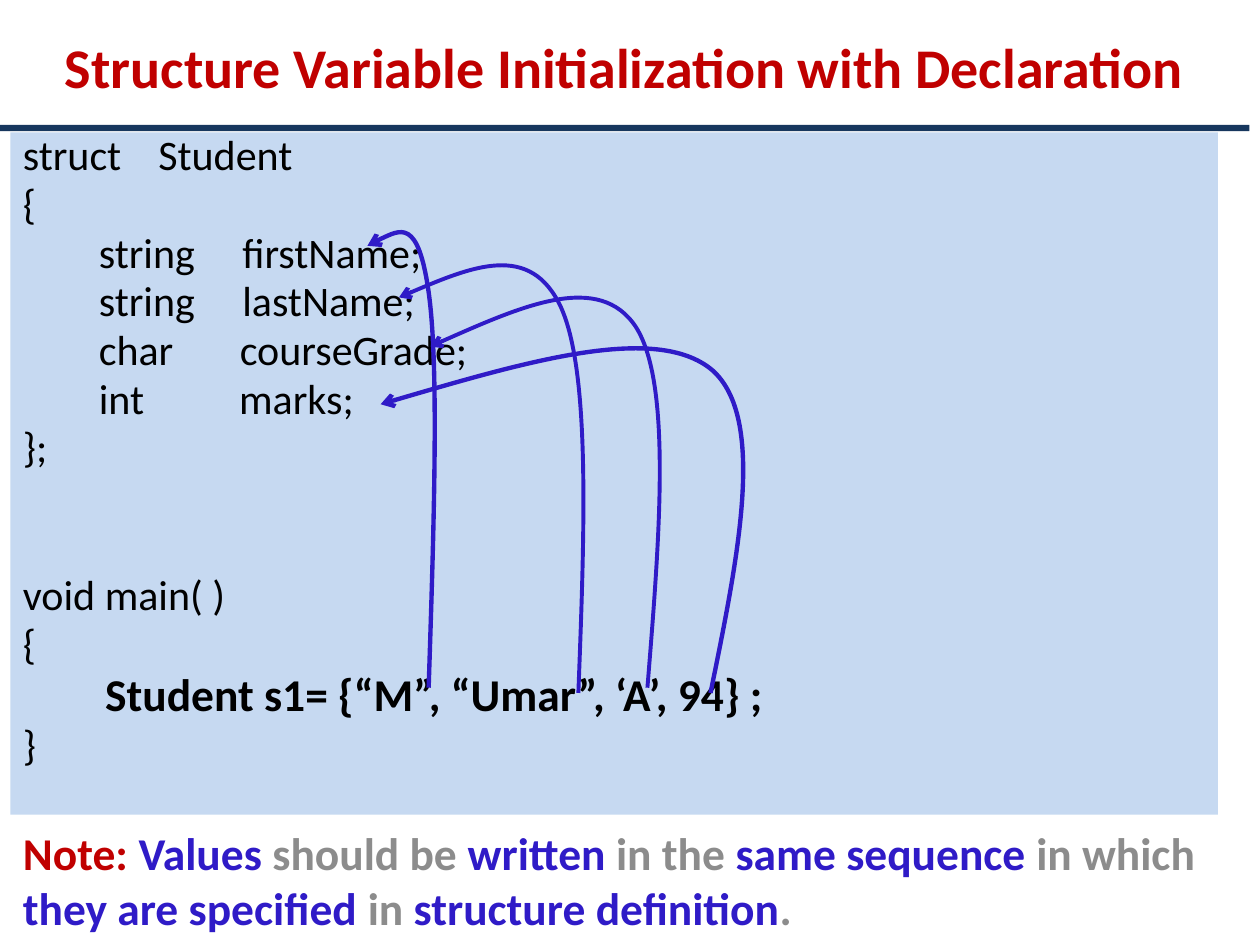
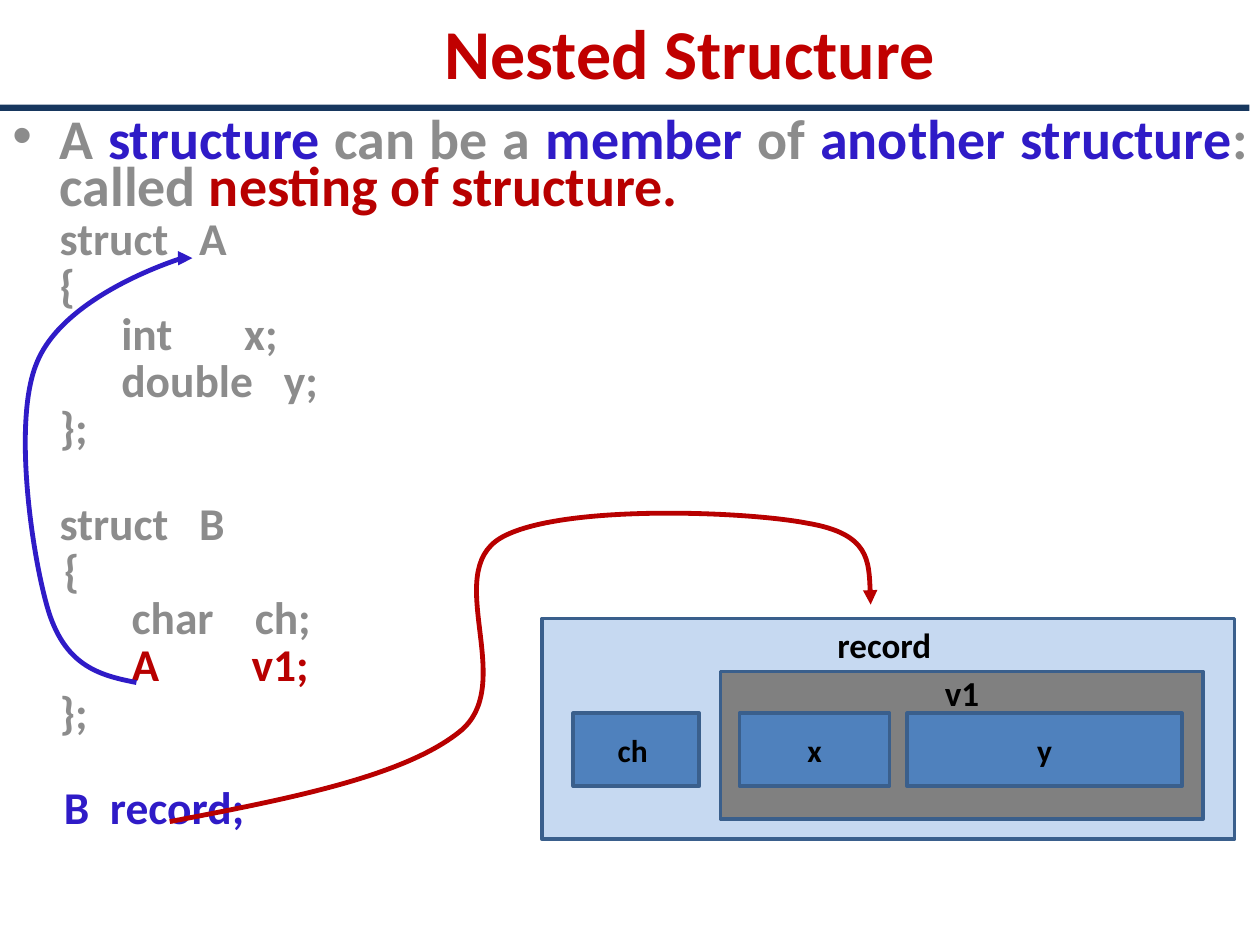
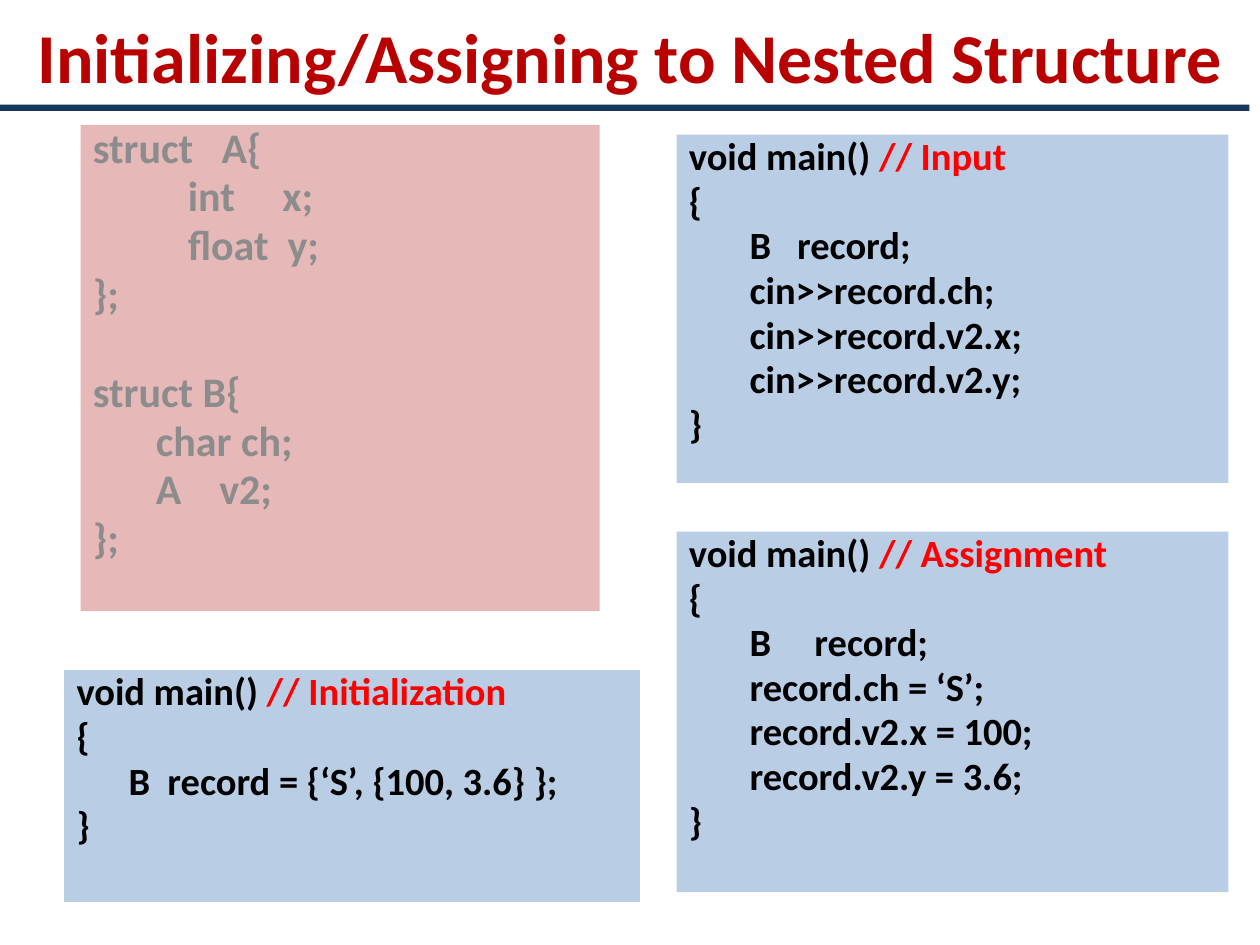
import pptx
import pptx.dml.color
import pptx.enum.shapes
import pptx.enum.text
import pptx.oxml
import pptx.oxml.ns
import pptx.util

Pt = pptx.util.Pt
ALIGN = pptx.enum.text.PP_ALIGN
ANCHOR = pptx.enum.text.MSO_ANCHOR
RECTANGLE = pptx.enum.shapes.MSO_SHAPE.RECTANGLE

COLOURS = {
    "title": "C00000", "red": "B80000", "blue": "2F1BC7", "grey": "8C8C8C",
    "black": "000000", "comment": "FF0000", "band": "17375E", "pale": "C6D9F1",
    "panel": "B9CDE5", "pink": "E6B9B8", "edge": "3A5F8C", "nested": "808080",
    "field": "4F81BD",
}
FONT = "Calibri"

# Titles: text, size, colour, place, top of the band below
TITLES = [
    ("Structure Variable Initialization with Declaration", 32, "title",
     (0, 3.6, 714, 68), 71.3),
    ("Nested Structure", 40, "title", (72, 4.3, 644, 50), 59.8),
    ("Initializing/Assigning to Nested Structure", 40, "red",
     (6, 3.6, 708, 56), 59.8),
]

# A line is a string or a list of (text, colour) runs; a dict adds
# "gap" (blank lines above), "size", "bold", "margin" or "bullet".
INITIALIZATION = [
    "struct \t Student",
    "{",
    "        string     firstName;",
    "        string     lastName;",
    "        char       courseGrade;",
    "        int          marks;",
    "};",
    {"text": "void main( )", "gap": 2},
    "{",
    {"text": "        Student s1= {“M”, “Umar”, ‘A’, 94} ;", "size": 26, "bold": True},
    "}",
]
NOTE = [[
    ("Note: ", "title"), ("Values", "blue"), (" should be ", "grey"),
    ("written", "blue"), (" in the ", "grey"), ("same sequence ", "blue"),
    ("in which ", "grey"), ("they are specified ", "blue"), ("in ", "grey"),
    ("structure definition", "blue"), (".", "grey"),
]]
NESTING = [
    {"text": [("A ", "grey"), ("structure", "blue"), (" can be a ", "grey"),
              ("member", "blue"), (" of ", "grey"), ("another structure", "blue"),
              (": called ", "grey"), ("nesting of structure.", "red")],
     "size": 32, "bullet": True},
    "struct   A",
    "{",
    "      int       x;",
    "      double   y;",
    "};",
    {"text": "struct   B", "gap": 1},
    {"text": "{", "margin": 29.4},
    "       char    ch;",
    [("       A         v1;", "red")],
    "};",
    {"text": [("B  record;", "blue")], "gap": 1, "margin": 29.4},
]
DEFINITION = [
    "struct   A{",
    "          int     x;",
    "          float  y;",
    "};",
    {"text": "struct B{", "gap": 1},
    "\tchar ch;",
    "\tA    v2;",
    "};",
]

# Main functions: comment, place, body lines
MAINS = [
    ("// Input", (386.6, 77, 315.4, 199),
     ["       B   record;", "       cin>>record.ch;",
      "       cin>>record.v2.x;", "       cin>>record.v2.y;"]),
    ("// Initialization", (36.7, 383, 329, 132.5),
     ["      B  record = {‘S’, {100, 3.6} };"]),
    ("// Assignment", (386.6, 303.8, 315.4, 206),
     ["       B     record;", "       record.ch = ‘S’;",
      "       record.v2.x = 100;", "       record.v2.y = 3.6;"]),
]

# Memory layout: label, place, fill, size, top inset (None centres the label)
MEMORY = [
    ("record ", (309.6, 353.5, 396, 126), "pale", 20, 3),
    ("v1", (411.8, 383.8, 275.8, 84.2), "nested", 20, 0),
    ("x", (422.6, 407.5, 85.7, 41.8), "field", 18, None),
    ("ch ", (327.6, 407.5, 72, 41.8), "field", 18, None),
    ("y", (518.4, 407.5, 157, 41.8), "field", 18, None),
]

# Curved arrows: colour, width, head, start followed by Bezier triples
VALUE_ARROWS = [
    ("blue", 2.5, "arrow", [(245, 393), (248, 301), (251, 209.5), (245, 167),
                            (239, 124.5), (224.5, 132.5), (210, 140.5)]),
    ("blue", 2.25, "arrow", [(330.5, 396), (334, 304.5), (337.5, 213), (320.5, 175.5),
                             (303, 138), (265.5, 154), (228, 170)]),
    ("blue", 2.25, "arrow", [(370, 393), (377, 306.5), (384, 219.5), (363.5, 187),
                             (342.5, 155), (294.5, 176.5), (246, 198)]),
    ("blue", 2.5, "arrow", [(406, 396), (422, 317.5), (438, 239), (407, 211.5),
                            (375, 184.5), (296, 208), (217.5, 231)]),
]
TYPE_ARROWS = [
    ("blue", 2.75, "triangle", [(78, 390), (57.5, 386), (38, 381), (28, 350),
                                (18.5, 319.5), (7, 241), (21, 207.5),
                                (34.5, 173.5), (117.5, 139), (110, 147.5)]),
    ("red", 2.75, "triangle", [(97, 469.5), (165, 456.5), (232.5, 443.5), (264, 417),
                               (295, 389.5), (252.5, 327.5), (286, 307.5),
                               (319, 288), (426, 292), (461.5, 299),
                               (497, 305), (497, 325.5), (497.5, 345.5)]),
]


def rgb(name):
    return pptx.dml.color.RGBColor.from_string(COLOURS[name])


def element(tag, **attributes):
    made = pptx.oxml.parse_xml(f"<a:{tag} {pptx.oxml.ns.nsdecls('a')}/>")
    for key, value in attributes.items():
        made.set(key, value)
    return made


def add_box(page, place, fill=None, edge=None):
    """Add a rectangle, or a plain text box when there is no fill."""
    place = [Pt(value) for value in place]
    if fill is None:
        box = page.shapes.add_textbox(*place)
    else:
        box = page.shapes.add_shape(RECTANGLE, *place)
        box.shadow.inherit = False
        box.fill.solid()
        box.fill.fore_color.rgb = rgb(fill)
        if edge:
            box.line.color.rgb = rgb(edge)
            box.line.width = Pt(2)
        else:
            box.line.fill.background()
    box.text_frame.word_wrap = True
    box.text_frame.vertical_anchor = ANCHOR.TOP
    return box


def style(para, size, colour, bold, align):
    para.alignment = align
    para.font.name = FONT
    para.font.size = Pt(size)
    para.font.bold = bold
    para.font.color.rgb = rgb(colour)


def add_label(box, text, size, colour):
    para = box.text_frame.paragraphs[0]
    para.add_run().text = text
    style(para, size, colour, True, ALIGN.CENTER)


def add_lines(box, lines, size, colour, spacing=None, bold=True, align=ALIGN.JUSTIFY,
              margin=0):
    frame = box.text_frame
    for index, line in enumerate(lines):
        line = line if isinstance(line, dict) else {"text": line}
        para = frame.add_paragraph() if index else frame.paragraphs[0]
        line_size = line.get("size", size)
        if spacing:
            para.line_spacing = spacing
        if index:
            blank_line = size * (1.22 * spacing + 0.2)
            para.space_before = Pt(round(0.2 * line_size + line.get("gap", 0) * blank_line, 1))
        properties = para._p.get_or_add_pPr()
        properties.set("marL", str(Pt(line.get("margin", margin))))
        if line.get("bullet"):
            properties.set("indent", str(-Pt(margin)))
            properties.append(element("buFont", typeface="Arial"))
            properties.append(element("buChar", char="•"))
        style(para, line_size, colour, line.get("bold", bold), align)
        runs = line["text"]
        for text, tint in [(runs, colour)] if isinstance(runs, str) else runs:
            span = para.add_run()
            span.text = text
            if tint != colour:
                span.font.color.rgb = rgb(tint)


def add_curve(page, colour, width, head, points):
    """Draw a Bezier arrow: each three points after the start make one curve."""
    points = [(Pt(x), Pt(y)) for x, y in points]
    builder = page.shapes.build_freeform(*points[0], scale=1.0)
    builder.add_line_segments(points[1:], close=False)
    curve = builder.convert_to_shape()
    lines = list(curve._element.iter(pptx.oxml.ns.qn("a:lnTo")))
    outline = lines[0].getparent()
    for start in range(0, len(lines), 3):
        bezier = element("cubicBezTo")
        for line in lines[start:start + 3]:
            bezier.append(line[0])
            outline.remove(line)
        outline.append(bezier)
    curve.shadow.inherit = False
    curve.fill.background()
    curve.line.color.rgb = rgb(colour)
    curve.line.width = Pt(width)
    curve.line._get_or_add_ln().append(element("tailEnd", type=head))


def add_page(deck, title, size, colour, place, band_top):
    page = deck.slides.add_slide(deck.slide_layouts[6])
    box = add_box(page, place)
    box.text_frame.vertical_anchor = ANCHOR.MIDDLE
    add_label(box, title, size, colour)
    add_box(page, (0, band_top, 714, 3.6), "band")
    return page


def main():
    deck = pptx.Presentation()
    deck.slide_width, deck.slide_height = Pt(720), Pt(540)
    declaration, nested, assigning = [add_page(deck, *title) for title in TITLES]

    # Initialization with declaration
    add_lines(add_box(declaration, (6, 468, 702, 72)), NOTE, 26, "grey", align=ALIGN.LEFT)
    add_lines(add_box(declaration, (6, 75.6, 690, 390), "pale"), INITIALIZATION, 24,
              "black", 0.8, bold=False, align=ALIGN.LEFT)
    for arrow in VALUE_ARROWS:
        add_curve(declaration, *arrow)

    # Nested structure and its memory layout
    add_lines(add_box(nested, (0, 66.2, 720, 473.8)), NESTING, 26, "grey", 0.7, margin=27)
    for label, place, fill, size, inset in MEMORY:
        box = add_box(nested, place, fill, "edge")
        if inset is None:
            box.text_frame.vertical_anchor = ANCHOR.MIDDLE
        else:
            box.text_frame.margin_top = Pt(inset)
        add_label(box, label, size, "black")
    for arrow in TYPE_ARROWS:
        add_curve(nested, *arrow)

    # Initializing and assigning
    add_lines(add_box(assigning, (46, 71.3, 296.7, 278), "pink"), DEFINITION, 24, "grey", 0.8)
    for comment, place, body in MAINS:
        heading = [("void main() ", "black"), (comment, "comment")]
        add_lines(add_box(assigning, place, "panel"), [heading, "{", *body, "}"],
                  22, "black", 0.8)

    deck.save("out.pptx")


if __name__ == "__main__":
    main()
